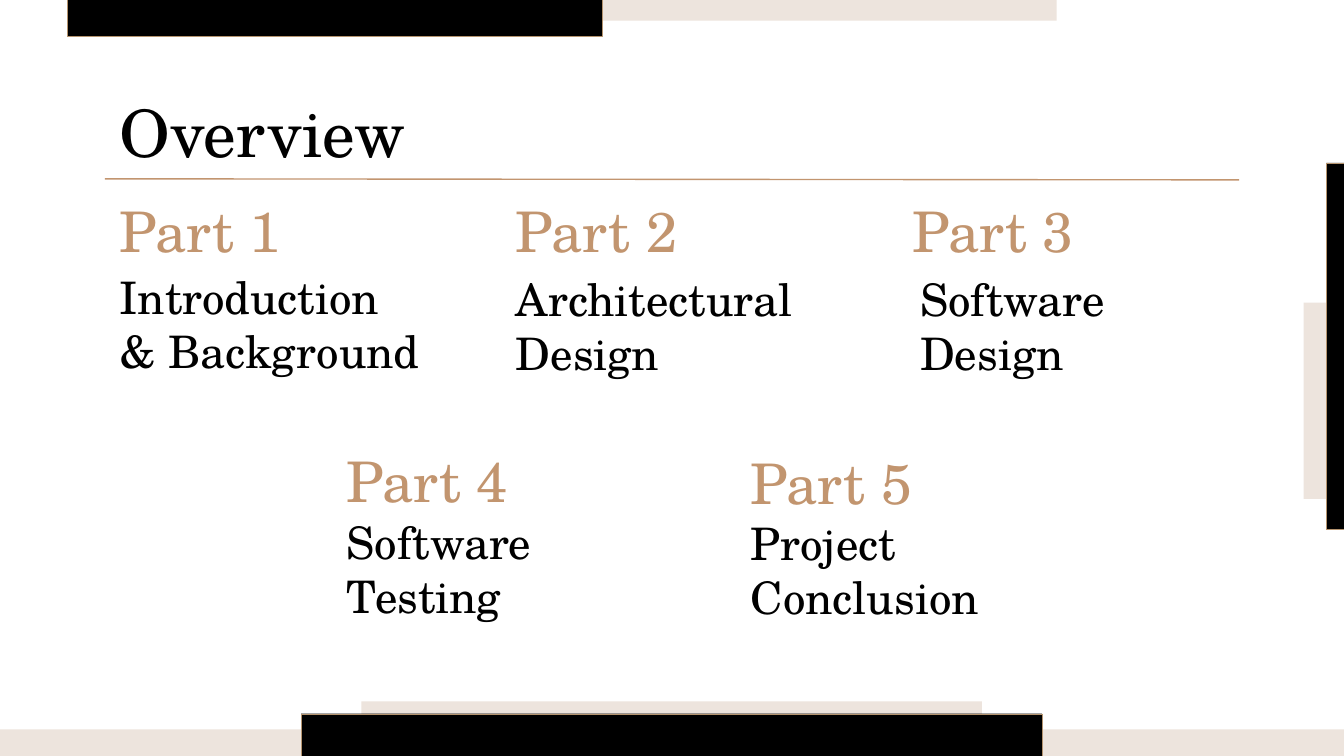
from dataclasses import dataclass

from lxml.etree import SubElement
from pptx import Presentation
from pptx.dml.color import RGBColor
from pptx.enum.shapes import MSO_CONNECTOR, MSO_SHAPE
from pptx.enum.text import MSO_ANCHOR as Anchor, MSO_AUTO_SIZE as AutoSize, PP_ALIGN as Align
from pptx.oxml.ns import qn
from pptx.util import Cm, Pt

FONT = "TeX Gyre Schola"
COLORS = {
    "black": "000000",
    "white": "FFFFFF",
    "sand": "EDE4DD",
    "tan": "C2956F",
    "edge": "B5946F",
}
INSET = Cm(0.25)
HEADING_HEIGHT = 1.24


@dataclass
class Box:
    """A rectangle in centimetres."""
    left: float
    top: float
    width: float
    height: float

    def emu(self) -> tuple:
        return Cm(self.left), Cm(self.top), Cm(self.width), Cm(self.height)


@dataclass
class Bar:
    box: Box
    color: str


@dataclass
class Part:
    heading: str
    left: float
    top: float
    heading_width: float
    lines: list[str]
    body: Box


BARS = [
    Bar(Box(4.88, -0.25, 15.09, 0.64), "sand"),
    Bar(Box(1.27, -0.15, 10.11, 0.84), "black"),
    Bar(Box(6.83, 13.26, 11.73, 1.19), "sand"),
    Bar(Box(-0.28, 13.79, 25.98, 0.58), "sand"),
    Bar(Box(5.69, 13.49, 14, 0.84), "black"),
    Bar(Box(24.64, 5.72, 1.22, 3.71), "sand"),
    Bar(Box(25.07, 3.08, 1.04, 6.93), "black"),
]

PARTS = [
    Part("Part 1", 2.01, 3.73, 4.67, ["Introduction", "& Background"],
         Box(2.01, 5.08, 6.4, 2.31)),
    Part("Part 2", 9.5, 3.73, 4.45, ["Architectural", "Design"],
         Box(9.5, 5.08, 6.4, 2.34)),
    Part("Part 3", 16.99, 3.73, 5.33, ["Software Design"],
         Box(17.14, 5.08, 6.4, 2.34)),
    Part("Part 4", 6.3, 8.46, 5.03, ["Software", "Testing"],
         Box(6.3, 9.8, 6.93, 2.21)),
    Part("Part 5", 13.94, 8.5, 4.29, ["Project Conclusion"],
         Box(13.94, 9.83, 6.4, 2.21)),
]


def rgb(name: str) -> RGBColor:
    return RGBColor.from_string(COLORS[name])


def add_bar(s, bar: Bar) -> None:
    sp = s.shapes.add_shape(MSO_SHAPE.RECTANGLE, *bar.box.emu())
    sp.shadow.inherit = False
    sp.fill.solid()
    sp.fill.fore_color.rgb = rgb(bar.color)
    if bar.color == "black":
        sp.line.color.rgb = rgb("edge")
        sp.line.width = Pt(0.02)
    else:
        sp.line.fill.background()


def write(sp, lines: list[str], size: float, color: str, anchor: Anchor) -> None:
    tf = sp.text_frame
    tf.word_wrap = True
    tf.auto_size = AutoSize.NONE
    tf.vertical_anchor = anchor
    tf.margin_left = tf.margin_right = tf.margin_top = tf.margin_bottom = INSET
    for i, line in enumerate(lines):
        p = tf.add_paragraph() if i else tf.paragraphs[0]
        p.alignment = Align.LEFT
        r = p.add_run()
        r.text = line
        r.font.name = FONT
        r.font.size = Pt(size)
        r.font.color.rgb = rgb(color)


def add_title(s, text: str, box: Box) -> None:
    sp = s.shapes.title
    sp.left, sp.top, sp.width, sp.height = box.emu()
    write(sp, [text], 35, "black", Anchor.TOP)


def add_rule(s) -> None:
    line = s.shapes.add_connector(
        MSO_CONNECTOR.STRAIGHT, Cm(1.98), Cm(3.38), Cm(23.42), Cm(3.4))
    line.line.color.rgb = rgb("tan")
    line.line.width = Pt(0.75)
    SubElement(line._element.spPr, qn("a:effectLst"))


def add_part(s, part: Part) -> None:
    box = Box(part.left, part.top, part.heading_width, HEADING_HEIGHT)
    heading = s.shapes.add_textbox(*box.emu())
    heading.fill.solid()
    heading.fill.fore_color.rgb = rgb("white")
    write(heading, [part.heading], 30, "tan", Anchor.MIDDLE)
    body = s.shapes.add_textbox(*part.body.emu())
    write(body, part.lines, 24, "black", Anchor.BOTTOM)


def main() -> None:
    prs = Presentation()
    prs.slide_width, prs.slide_height = Cm(25.4), Cm(14.29)
    s = prs.slides.add_slide(prs.slide_layouts[5])
    for bar in BARS:
        add_bar(s, bar)
    add_title(s, "Overview", Box(2.01, 1.5, 21.41, 1.75))
    add_rule(s)
    for part in PARTS:
        add_part(s, part)
    prs.save("out.pptx")


if __name__ == "__main__":
    main()
